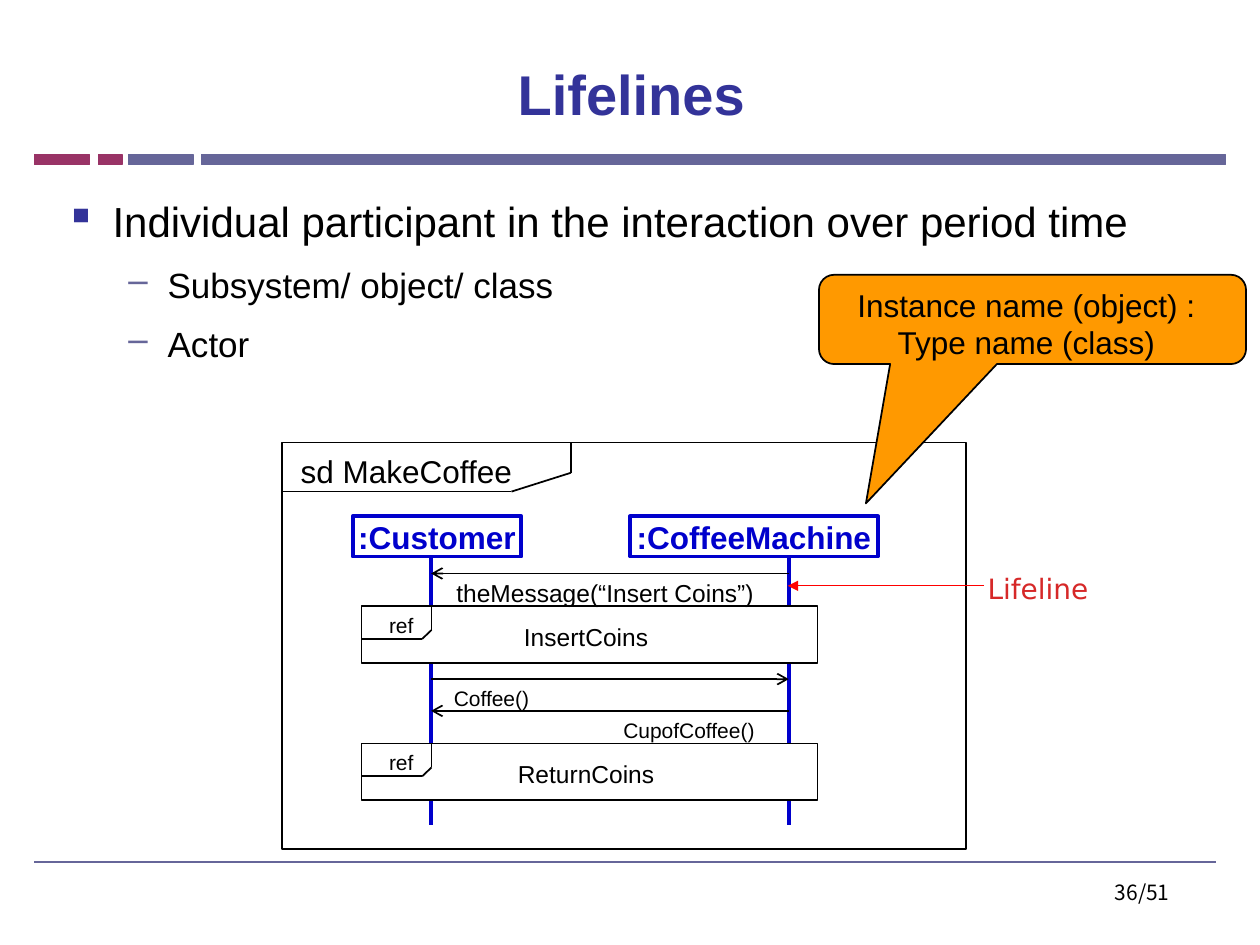
from dataclasses import dataclass
from itertools import pairwise

import pptx
import pptx.dml.color
import pptx.enum.shapes
import pptx.enum.text
import pptx.oxml
import pptx.oxml.ns
import pptx.util

Cm = pptx.util.Cm
Pt = pptx.util.Pt
RGBColor = pptx.dml.color.RGBColor
Shape = pptx.enum.shapes.MSO_SHAPE
Align = pptx.enum.text.PP_ALIGN
Anchor = pptx.enum.text.MSO_ANCHOR

BLACK = RGBColor(0x00, 0x00, 0x00)
NAVY = RGBColor(0x33, 0x33, 0x99)
SLATE = RGBColor(0x66, 0x66, 0x99)
PLUM = RGBColor(0x99, 0x33, 0x66)
BLUE = RGBColor(0x00, 0x00, 0xCC)
ORANGE = RGBColor(0xFF, 0x99, 0x00)
RED = RGBColor(0xFF, 0x00, 0x00)
CRIMSON = RGBColor(0xD6, 0x28, 0x28)

CUSTOMER_X = 8.69
MACHINE_X = 15.9
HEAD_TOP = 10.41
HEAD_HEIGHT = 0.81
FRAGMENT_LEFT = 7.29
FRAGMENT_HEIGHT = 1.14
LIFELINE_END = 16.63


@dataclass(frozen=True)
class Area:
    left: float
    top: float
    width: float
    height: float

    def lengths(self) -> tuple:
        return Cm(self.left), Cm(self.top), Cm(self.width), Cm(self.height)


@dataclass(frozen=True)
class Bar:
    left: float
    width: float
    color: RGBColor


@dataclass(frozen=True)
class Participant:
    name: str
    left: float
    width: float
    lifeline: float


@dataclass(frozen=True)
class Fragment:
    name: str
    top: float


@dataclass(frozen=True)
class Message:
    text: str
    start: float
    end: float
    y: float
    label: Area
    size: int


@dataclass(frozen=True)
class Bullet:
    text: str
    level: int
    size: int
    indent: float
    hanging: float
    symbol: str
    color: RGBColor


BARS = [
    Bar(4.06, 20.65, SLATE),
    Bar(0.69, 1.12, PLUM),
    Bar(2.59, 1.3, SLATE),
    Bar(1.98, 0.48, PLUM),
]
BULLETS = [
    Bullet("Individual participant in the interaction over period time",
           0, 24, 0.95, 0.95, "▪", NAVY),
    Bullet("Subsystem/ object/ class", 1, 20, 2.06, 0.79, "–", SLATE),
    Bullet("Actor", 1, 20, 2.06, 0.79, "–", SLATE),
]
PARTICIPANTS = [
    Participant(":Customer", 7.11, 3.4, CUSTOMER_X),
    Participant(":CoffeeMachine", 12.7, 5, MACHINE_X),
]
FRAGMENTS = [Fragment("InsertCoins", 12.22), Fragment("ReturnCoins", 14.99)]
MESSAGES = [
    Message("theMessage(“Insert Coins”)", MACHINE_X, CUSTOMER_X, 11.56,
            Area(8.1, 11.53, 8.2, 0.84), 14),
    Message("Coffee()", CUSTOMER_X, MACHINE_X, 13.69, Area(8.31, 13.69, 3.2, 0.76), 12),
    Message("CupofCoffee()", MACHINE_X, CUSTOMER_X, 14.33,
            Area(12.29, 14.33, 3.2, 0.76), 12),
]


def format_text(frame, text: str, *, size: float, color=BLACK, font="Arial", bold=False,
                align=Align.CENTER, anchor=Anchor.TOP, wrap=True,
                insets=(0.25, 0.13, 0.25, 0.13), new_paragraph=False):
    frame.word_wrap = wrap
    frame.vertical_anchor = anchor
    frame.margin_left, frame.margin_top, frame.margin_right, frame.margin_bottom = map(Cm, insets)
    paragraph = frame.add_paragraph() if new_paragraph else frame.paragraphs[0]
    paragraph.alignment = align
    span = paragraph.add_run()
    span.text = text
    span.font.name = font
    span.font.size = Pt(size)
    span.font.bold = bold
    span.font.color.rgb = color
    return paragraph


def add_text(page, area: Area, text: str, **text_format):
    box = page.shapes.add_textbox(*area.lengths())
    format_text(box.text_frame, text, **text_format)
    return box


def add_shape(page, area: Area, *, kind=Shape.RECTANGLE, fill=None, line=None, weight=1.0):
    shape = page.shapes.add_shape(kind, *area.lengths())
    shape.shadow.inherit = False
    if fill is None:
        shape.fill.background()
    else:
        shape.fill.solid()
        shape.fill.fore_color.rgb = fill
    if line is None:
        shape.line.fill.background()
    else:
        shape.line.color.rgb = line
        shape.line.width = Pt(weight)
    return shape


def add_path(page, *points: tuple[float, float], color=BLACK, weight=1.0, arrow="") -> None:
    for start, end in pairwise(points):
        connector = page.shapes.add_connector(
            pptx.enum.shapes.MSO_CONNECTOR.STRAIGHT, *map(Cm, start + end))
        connector.line.color.rgb = color
        connector.line.width = Pt(weight)
        properties = connector.element.spPr
        if arrow:
            pptx.oxml.ns.qn("a:tailEnd")
            tail = properties.find(pptx.oxml.ns.qn("a:ln")).makeelement(
                pptx.oxml.ns.qn("a:tailEnd"), {"type": arrow})
            properties.find(pptx.oxml.ns.qn("a:ln")).append(tail)
        properties.append(properties.makeelement(pptx.oxml.ns.qn("a:effectLst"), {}))


def add_bullets(page, area: Area, bullets: list[Bullet]) -> None:
    frame = page.shapes.add_textbox(*area.lengths()).text_frame
    for index, bullet in enumerate(bullets):
        paragraph = format_text(frame, bullet.text, size=bullet.size, align=Align.LEFT,
                                new_paragraph=index > 0)
        paragraph.level = bullet.level
        paragraph.line_spacing = 1.2
        if index:
            paragraph.space_before = Pt(5)
        properties = paragraph._p.get_or_add_pPr()
        properties.set("marL", str(Cm(bullet.indent)))
        properties.set("indent", str(-Cm(bullet.hanging)))
        color = properties.makeelement(pptx.oxml.ns.qn("a:buClr"), {})
        color.append(color.makeelement(pptx.oxml.ns.qn("a:srgbClr"), {"val": str(bullet.color)}))
        properties.append(color)
        properties.append(properties.makeelement(
            pptx.oxml.ns.qn("a:buChar"), {"char": bullet.symbol}))


def add_participant(page, participant: Participant) -> None:
    head = add_shape(page, Area(participant.left, HEAD_TOP, participant.width, HEAD_HEIGHT),
                     line=BLUE, weight=2.25)
    format_text(head.text_frame, participant.name, size=18, color=BLUE, bold=True,
                anchor=Anchor.MIDDLE, wrap=False)
    starts = [HEAD_TOP + HEAD_HEIGHT] + [part.top + FRAGMENT_HEIGHT for part in FRAGMENTS]
    ends = [part.top for part in FRAGMENTS] + [LIFELINE_END]
    for start, end in zip(starts, ends):
        add_path(page, (participant.lifeline, start), (participant.lifeline, end),
                 color=BLUE, weight=2.25)


def add_fragment(page, fragment: Fragment) -> None:
    left, top = FRAGMENT_LEFT, fragment.top
    add_shape(page, Area(left, top, 9.19, FRAGMENT_HEIGHT), line=BLACK)
    add_path(page, (left, top + 0.66), (8.51, top + 0.66), (8.7, top + 0.48), (8.7, top))
    add_text(page, Area(left, top, 1.6, 0.76), "ref", size=12)
    add_text(page, Area(8.31, top + 0.18, 7.01, 0.84), fragment.name, size=14)


def add_message(page, message: Message) -> None:
    add_path(page, (message.start, message.y), (message.end, message.y), arrow="arrow")
    add_text(page, message.label, message.text, size=message.size)


def main() -> None:
    deck = pptx.Presentation()
    deck.slide_width, deck.slide_height = Cm(25.4), Cm(19.05)
    page = deck.slides.add_slide(deck.slide_layouts[6])

    for bar in BARS:
        add_shape(page, Area(bar.left, 3.12, bar.width, 0.2), fill=bar.color,
                  line=bar.color, weight=0.75)
    add_path(page, (0.69, 17.37), (24.51, 17.37), color=SLATE)
    add_text(page, Area(17.91, 17.6, 5.92, 1.32), "36/51", size=12,
             font="Noto Sans CJK KR", align=Align.RIGHT)
    add_text(page, Area(1.3, 1.12, 22.86, 1.57), "Lifelines", size=32, color=NAVY,
             bold=True, anchor=Anchor.BOTTOM)
    add_bullets(page, Area(1.07, 3.61, 23.47, 13.49), BULLETS)

    add_shape(page, Area(5.69, 8.92, 13.79, 8.2), line=BLACK)
    add_path(page, (5.69, 9.91), (10.31, 9.91), (11.51, 9.53), (11.51, 8.92))
    add_text(page, Area(5.69, 9.09, 5, 0.81), "sd MakeCoffee", size=18,
             anchor=Anchor.MIDDLE, wrap=False)
    for participant in PARTICIPANTS:
        add_participant(page, participant)
    for fragment in FRAGMENTS:
        add_fragment(page, fragment)
    for message in MESSAGES:
        add_message(page, message)

    add_text(page, Area(19.91, 11.53, 4.01, 0.69), "Lifeline", size=16, color=CRIMSON,
             font="DejaVu Sans", align=Align.LEFT, insets=(0, 0, 0, 0))
    add_path(page, (19.84, 11.81), (15.88, 11.81), color=RED, weight=0.75, arrow="triangle")
    callout = add_shape(page, Area(16.51, 5.54, 8.61, 1.8),
                        kind=Shape.ROUNDED_RECTANGULAR_CALLOUT, fill=ORANGE, line=BLACK)
    for index, value in enumerate((-0.39, 2.06, 0.17)):
        callout.adjustments[index] = value
    format_text(callout.text_frame, "Instance name (object) : Type name (class)", size=18,
                insets=(0, 0.13, 0.25, 0.13))

    deck.save("out.pptx")


if __name__ == "__main__":
    main()
